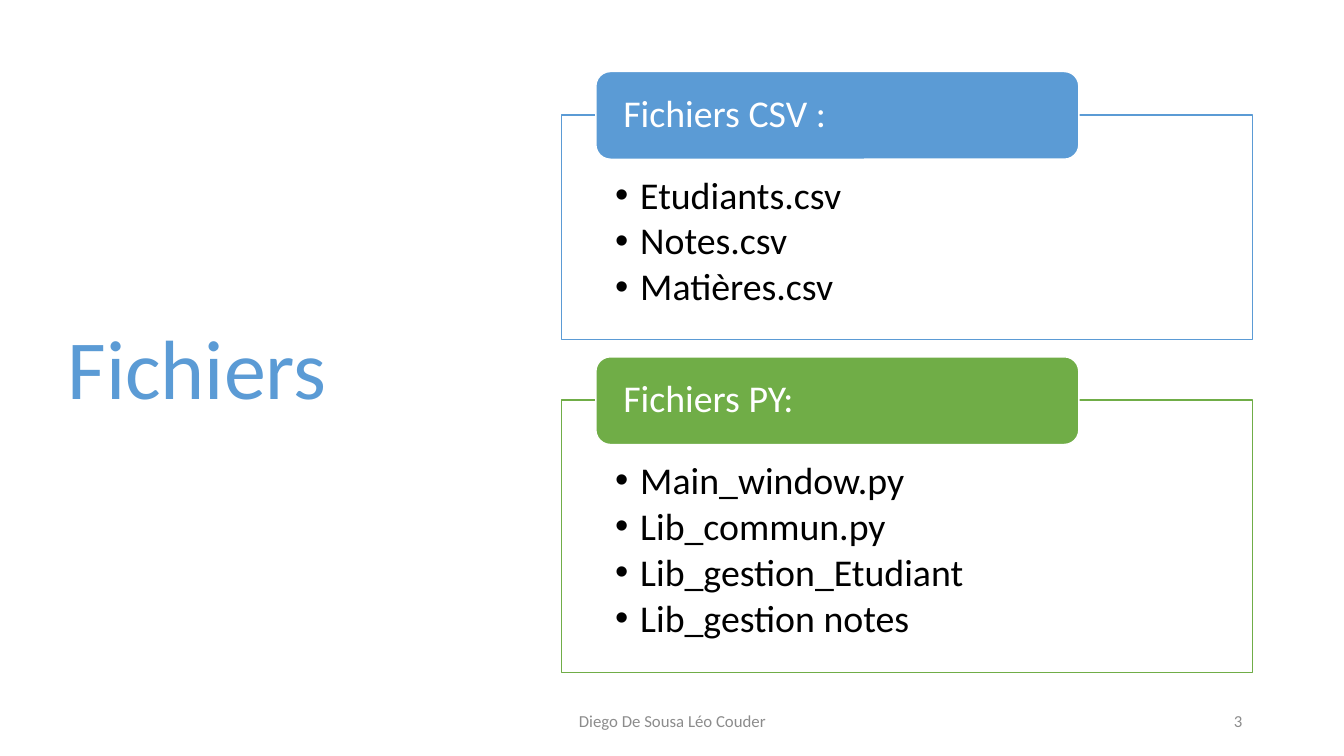
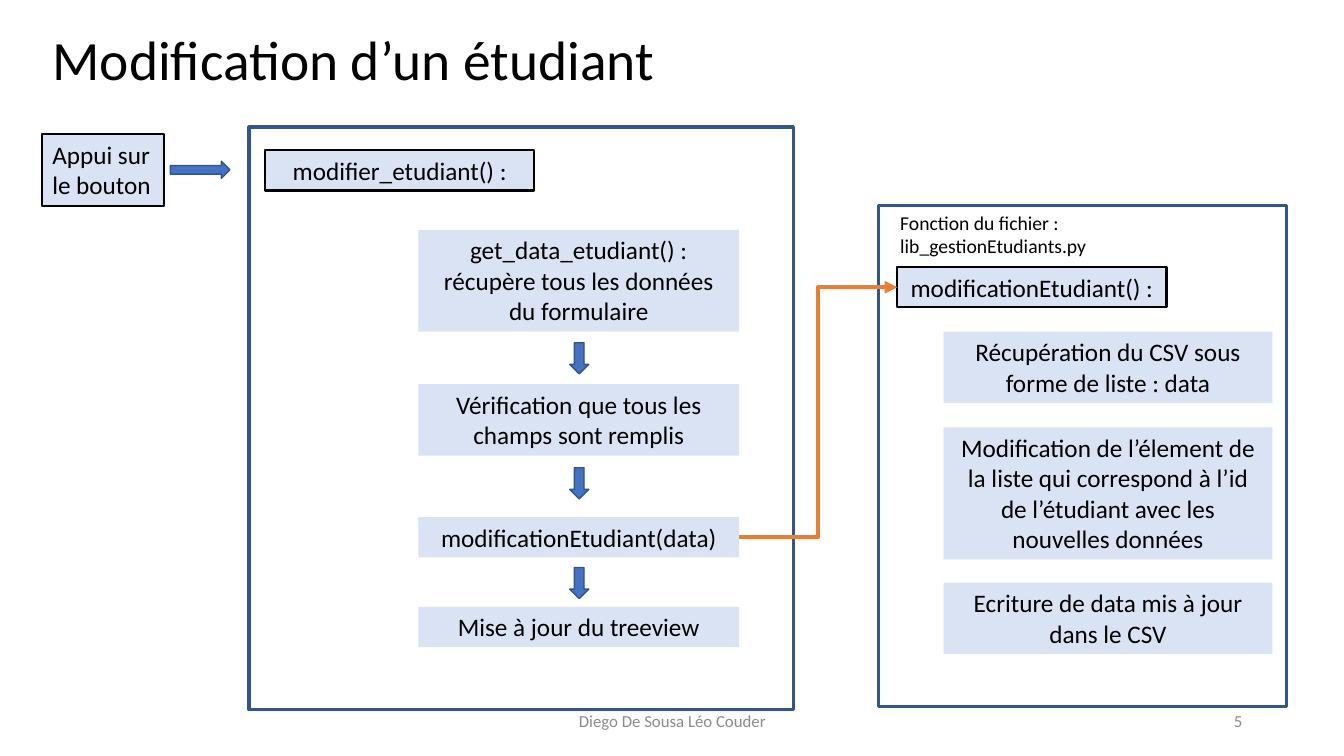
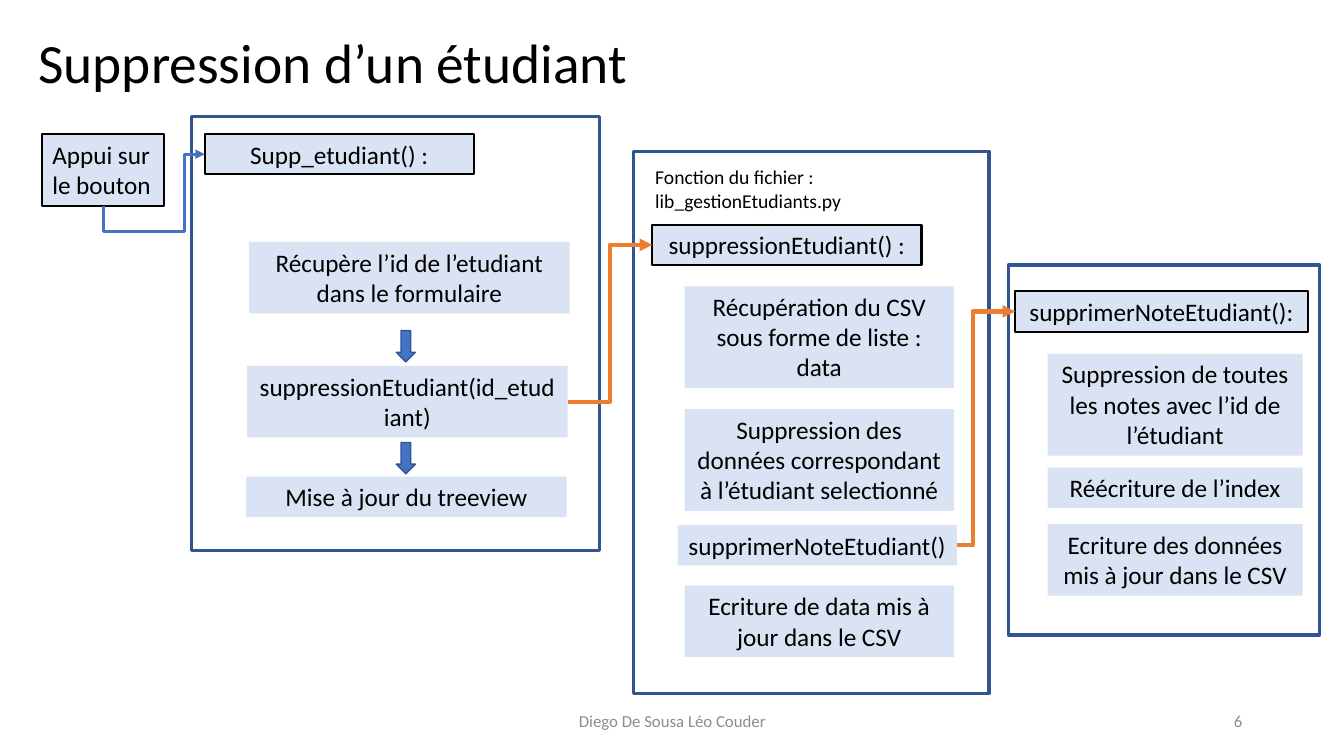
"""Build three slides on the student manager: its files, editing and deletion."""
from pptx import Presentation
from pptx.dml.color import RGBColor
from pptx.enum.shapes import MSO_CONNECTOR as Connector, MSO_SHAPE as Shape
from pptx.enum.text import MSO_ANCHOR as Anchor, MSO_AUTO_SIZE as AutoSize, PP_ALIGN as Align
from pptx.oxml.ns import qn
from pptx.util import Inches, Pt
from lxml.etree import SubElement

COLOURS = {
    "black": "000000", "white": "FFFFFF", "grey": "8C8C8C", "pale": "DAE3F3",
    "sky": "5B9BD5", "green": "70AD47", "blue": "4472C4", "navy": "325491",
    "orange": "ED7D31",
}
TOP, LEFT, BOTTOM, RIGHT = range(4)
AUTHORS = "Diego De Sousa Léo Couder"
BUTTON_TEXT = "Appui sur le bouton"
LIBRARY_NOTE = "Fonction du fichier : lib_gestionEtudiants.py"


def insets(left, top, right, bottom):
    return {
        "margin_left": Inches(left), "margin_top": Inches(top),
        "margin_right": Inches(right), "margin_bottom": Inches(bottom),
    }


def apply(target, values):
    for name, value in values.items():
        setattr(target, name, value)


GROW = {"word_wrap": True, "auto_size": AutoSize.SHAPE_TO_FIT_TEXT, "vertical_anchor": Anchor.TOP}
FIXED = {"word_wrap": True, "auto_size": AutoSize.NONE, "vertical_anchor": Anchor.MIDDLE}
TIGHT = {"line_spacing": 0.9, "alignment": Align.LEFT}
STYLES = {
    "title": {"size": 39.6, "frame": FIXED, "paragraph": TIGHT},
    "cover": {"size": 60, "colour": "sky", "frame": FIXED, "paragraph": TIGHT},
    "footer": {"size": 12, "colour": "grey", "frame": FIXED,
               "paragraph": {"alignment": Align.CENTER}},
    "number": {"size": 12, "colour": "grey", "frame": FIXED,
               "paragraph": {"alignment": Align.RIGHT}},
    "step": {"size": 18, "frame": GROW, "paragraph": {"alignment": Align.CENTER}},
    "button": {"size": 18, "frame": GROW, "paragraph": {"alignment": Align.LEFT}},
    "note": {"size": 14, "frame": GROW, "paragraph": {"alignment": Align.LEFT}},
    "heading": {"size": 27, "colour": "white", "paragraph": TIGHT,
                "frame": FIXED | insets(0.23, 0, 0.23, 0)},
    "list": {"size": 27, "paragraph": TIGHT | {"level": 1, "space_after": Pt(3.6)},
             "frame": FIXED | insets(0.53, 0.61, 0.53, 0.21)
             | {"vertical_anchor": Anchor.TOP}},
}


class Deck:
    """Hold the shared style and the current slide."""

    def __init__(self):
        self.presentation = Presentation()
        apply(self.presentation, {"slide_width": Inches(13.33), "slide_height": Inches(7.5)})
        self.slide = None

    def colour(self, name):
        return RGBColor.from_string(COLOURS[name])

    def fill_text(self, shape, lines, style):
        values = STYLES[style]
        frame = shape.text_frame
        apply(frame, values["frame"])
        for index, line in enumerate(lines):
            paragraph = frame.add_paragraph() if index else frame.paragraphs[0]
            apply(paragraph, values["paragraph"])
            run = paragraph.add_run()
            run.text = line
            apply(run.font, {"name": "Calibri", "size": Pt(values["size"])})
            run.font.color.rgb = self.colour(values.get("colour", "black"))
        return frame

    def new_slide(self, title, number, place, style="title"):
        self.slide = self.presentation.slides.add_slide(self.presentation.slide_layouts[5])
        heading = self.slide.shapes.title
        apply(heading, dict(zip(("left", "top", "width", "height"), map(Inches, place))))
        self.fill_text(heading, [title], style)
        self.text(4.42, 6.95, 4.5, 0.4, AUTHORS, "footer")
        self.text(9.42, 6.95, 3, 0.4, str(number), "number")

    def text(self, left, top, width, height, words, style):
        box = self.slide.shapes.add_textbox(*map(Inches, (left, top, width, height)))
        self.fill_text(box, [words], style)

    def shape(self, kind, left, top, width, height, fill=None, line=None, weight=1):
        shape = self.slide.shapes.add_shape(kind, *map(Inches, (left, top, width, height)))
        shape.shadow.inherit = False
        if fill:
            shape.fill.solid()
            shape.fill.fore_color.rgb = self.colour(fill)
        else:
            shape.fill.background()
        if line:
            shape.line.color.rgb = self.colour(line)
            shape.line.width = Pt(weight)
        else:
            shape.line.fill.background()
        return shape

    def frame(self, left, top, width, height):
        self.shape(Shape.RECTANGLE, left, top, width, height, line="navy", weight=2.25)

    def box(self, left, top, width, rows, words, line=None, style="step"):
        height = round(0.1 + 0.303 * rows, 2)
        box = self.shape(Shape.RECTANGLE, left, top, width, height, "pale", line, 1.5)
        self.fill_text(box, [words], style)
        return box

    def function(self, left, top, words, width=2.67):
        return self.box(left, top, width, 1, words, "black")

    def button(self):
        return self.box(0.42, 1.33, 1.21, 2, BUTTON_TEXT, "black", "button")

    def steps(self, left, width, items):
        return [self.box(left, top, width, rows, words) for top, rows, words in items]

    def down_arrows(self, centre, tops):
        for top in tops:
            self.shape(Shape.DOWN_ARROW, centre - 0.1, top, 0.19, 0.31, "blue", "navy")

    def card(self, top, height, colour, heading, items):
        body = self.shape(Shape.RECTANGLE, 5.57, top, 6.85, height, "white", colour)
        for paragraph in self.fill_text(body, items, "list").paragraphs:
            properties = paragraph._p.get_or_add_pPr()
            properties.set("marL", str(Inches(0.25)))
            properties.set("indent", str(-Inches(0.25)))
            SubElement(properties, qn("a:buFont"), typeface="Arial")
            SubElement(properties, qn("a:buChar"), char="•")
        tab = self.shape(Shape.ROUNDED_RECTANGLE, 5.91, top - 0.43, 4.79, 0.87, colour, "white")
        self.fill_text(tab, [heading], "heading")

    def elbow(self, source, target, colour="orange", weight=3, side=RIGHT, bends=(0.5,)):
        connector = self.slide.shapes.add_connector(Connector.ELBOW, 0, 0, 0, 0)
        connector.begin_connect(source, side)
        connector.end_connect(target, LEFT)
        connector.line.color.rgb = self.colour(colour)
        connector.line.width = Pt(weight)
        properties = connector.element.spPr
        SubElement(properties.find(qn("a:ln")), qn("a:tailEnd"), type="triangle")
        SubElement(properties, qn("a:effectLst"))
        geometry = properties.find(qn("a:prstGeom"))
        geometry.set("prst", f"bentConnector{len(bends) + 2}")
        guides = geometry.find(qn("a:avLst"))
        if guides is None:
            guides = SubElement(geometry, qn("a:avLst"))
        for index, bend in enumerate(bends, 1):
            SubElement(guides, qn("a:gd"), name=f"adj{index}", fmla=f"val {round(bend * 100000)}")
        if side == BOTTOM:
            self.turn(connector)

    def turn(self, connector):
        width, height = connector.width, connector.height
        shift = (width - height) // 2
        apply(connector, {"left": connector.left + shift, "top": connector.top - shift,
                          "width": height, "height": width})
        transform = connector.element.spPr.find(qn("a:xfrm"))
        for name, value in {"rot": "5400000", "flipH": "1", "flipV": "1"}.items():
            transform.set(name, value)


def files_slide(deck):
    deck.new_slide("Fichiers", 3, (0.57, 0.68, 4.16, 6.02), "cover")
    deck.card(1.14, 2.23, "sky", "Fichiers CSV :", ["Etudiants.csv", "Notes.csv", "Matières.csv"])
    deck.card(3.97, 2.7, "green", "Fichiers PY:", [
        "Main_window.py", "Lib_commun.py", "Lib_gestion_Etudiant", "Lib_gestion notes"])


def edit_slide(deck):
    deck.new_slide("Modification d’un étudiant", 5, (0.42, 0.3, 11.5, 0.65))
    deck.frame(2.47, 1.26, 5.4, 5.78)
    deck.frame(8.71, 2.04, 4.05, 4.97)
    deck.button()
    deck.shape(Shape.RIGHT_ARROW, 1.69, 1.6, 0.59, 0.17, "blue", "navy")
    deck.function(2.63, 1.49, "modifier_etudiant() :")
    window_steps = deck.steps(4.15, 3.18, [
        (2.28, 3, "get_data_etudiant() : récupère tous les données du formulaire"),
        (3.81, 2, "Vérification que tous les champs sont remplis"),
        (5.13, 1, "modificationEtudiant(data)"),
        (6.02, 1, "Mise à jour du treeview"),
    ])
    deck.down_arrows(5.75, (3.4, 4.64, 5.63))
    deck.text(8.83, 2.04, 2.81, 0.57, LIBRARY_NOTE, "note")
    edit_function = deck.function(8.9, 2.65, "modificationEtudiant() :")
    deck.steps(9.36, 3.26, [
        (3.29, 2, "Récupération du CSV sous forme de liste : data"),
        (4.24, 4, "Modification de l’élement de la liste qui correspond à l’id "
                  "de l’étudiant avec les nouvelles données"),
        (5.78, 2, "Ecriture de data mis à jour dans le CSV"),
    ])
    deck.elbow(window_steps[2], edit_function)


def delete_slide(deck):
    deck.new_slide("Suppression d’un étudiant", 6, (0.28, 0.33, 11.5, 0.65))
    deck.frame(1.9, 1.16, 4.05, 4.3)
    deck.frame(6.28, 1.5, 3.53, 5.38)
    deck.frame(10, 2.63, 3.09, 3.67)
    button = deck.button()
    window_function = deck.function(2.03, 1.33, "Supp_etudiant() :")
    deck.box(2.47, 2.4, 3.18, 2, "Récupère l’id de l’etudiant dans le formulaire")
    delete_call = deck.box(2.45, 3.63, 3.18, 2, "suppressionEtudiant(id_etudiant)")
    deck.box(2.44, 4.73, 3.18, 1, "Mise à jour du treeview")
    deck.down_arrows(4.03, (3.28, 4.39))
    deck.text(6.4, 1.59, 2.81, 0.57, LIBRARY_NOTE, "note")
    delete_function = deck.function(6.47, 2.23, "suppressionEtudiant() :")
    deck.steps(6.79, 2.67, [
        (2.84, 3, "Récupération du CSV sous forme de liste : data"),
        (4.06, 3, "Suppression des données correspondant à l’étudiant selectionné"),
        (5.81, 2, "Ecriture de data mis à jour dans le CSV"),
    ])
    marks_call = deck.box(6.72, 5.21, 2.77, 1, "supprimerNoteEtudiant()")
    marks_function = deck.function(10.07, 2.89, "supprimerNoteEtudiant():", 2.9)
    deck.steps(10.39, 2.53, [
        (3.51, 3, "Suppression de toutes les notes avec l’id de l’étudiant"),
        (4.64, 1, "Réécriture de l’index"),
        (5.2, 2, "Ecriture des données mis à jour dans le CSV"),
    ])
    deck.elbow(button, window_function, "blue", 2.25, BOTTOM, (-0.5, 0.8))
    deck.elbow(delete_call, delete_function)
    deck.elbow(marks_call, marks_function, bends=(0.27,))


def main():
    deck = Deck()
    for build in (files_slide, edit_slide, delete_slide):
        build(deck)
    deck.presentation.save("out.pptx")


if __name__ == "__main__":
    main()
